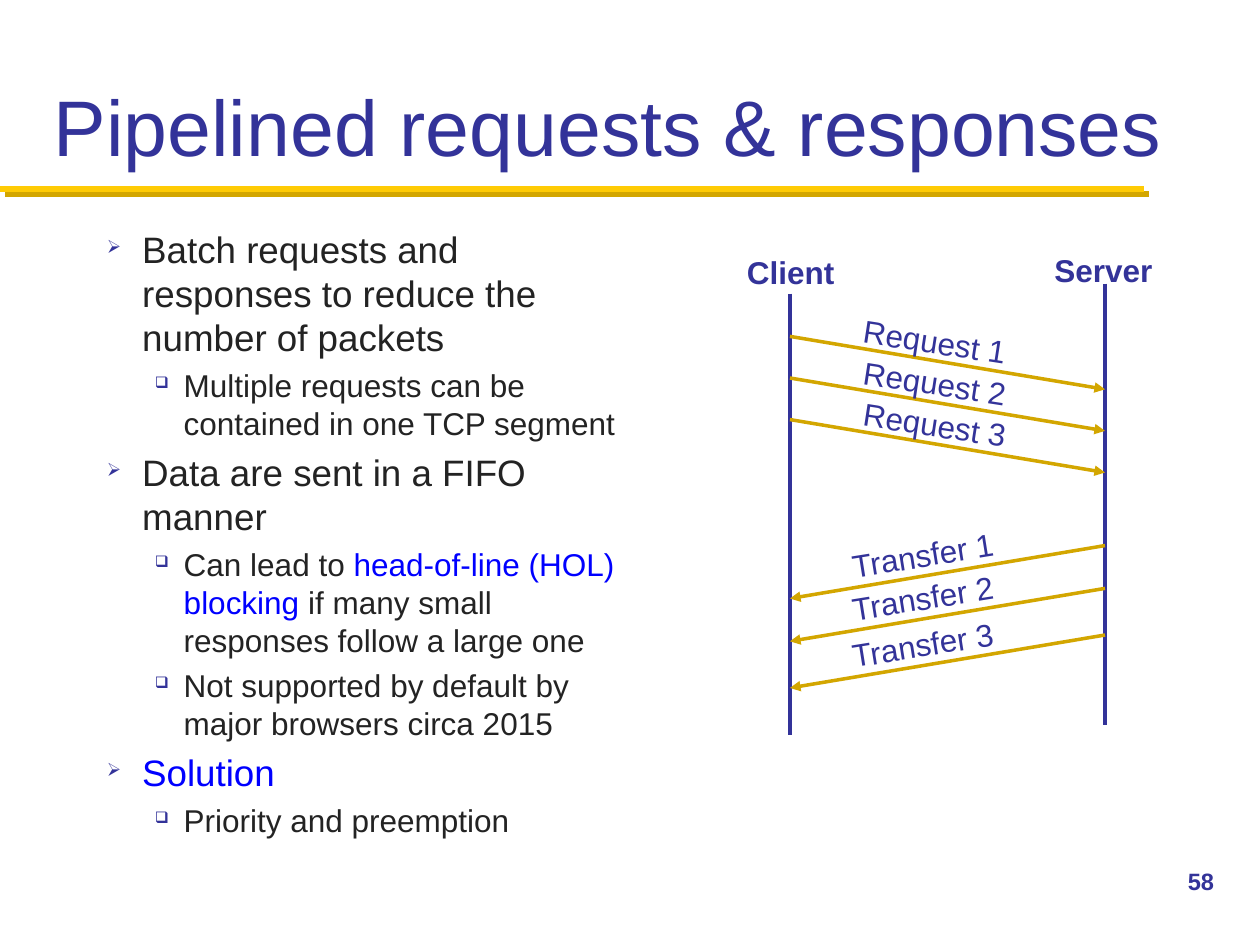
"""Build a slide on pipelined requests and responses with a client-server timeline."""
import pptx
import pptx.dml.color
import pptx.enum.shapes
import pptx.enum.text
import pptx.oxml.ns
import pptx.util
from lxml import etree

THEME = {
    "font": "Arial", "navy": "333399", "ink": "232323", "blue": "0000FF",
    "gold": "D3A600", "yellow": "FFCB05",
    "title": 45, "point": 21, "detail": 18, "label": 18, "number": 13.5,
}

TITLE = "Pipelined requests & responses"
PAGE_NUMBER = "58"
OUTLINE = [
    (0, [("Batch requests and responses to reduce the number of packets", "ink")]),
    (1, [("Multiple requests can be contained in one TCP segment", "ink")]),
    (0, [("Data are sent in a FIFO manner", "ink")]),
    (1, [("Can lead to ", "ink"), ("head-of-line (HOL) blocking", "blue"),
         (" if many small responses follow a large one", "ink")]),
    (1, [("Not supported by default by major browsers circa 2015", "ink")]),
    (0, [("Solution", "blue")]),
    (1, [("Priority and preemption", "ink")]),
]
LEVELS = [
    {"bullet": "➢", "size": THEME["point"], "margin": 0.28, "hang": 0.28},
    {"bullet": "❑", "size": THEME["detail"], "margin": 0.61, "hang": 0.23},
]
CLIENT_X, SERVER_X = 6.27, 8.77
LIFELINE_LENGTH, MESSAGE_DROP = 3.5, 0.42
ACTORS = [
    {"name": "Client", "x": CLIENT_X, "top": 2.33, "box": (5.83, 1.96, 0.92, 0.41)},
    {"name": "Server", "x": SERVER_X, "top": 2.25, "box": (8.27, 1.94, 1, 0.41)},
]
EXCHANGES = [
    {"name": "Request", "start": CLIENT_X, "end": SERVER_X, "times": [2.67, 3, 3.33],
     "label_x": 6.75, "lift": 0.16, "angle": 8.7},
    {"name": "Transfer", "start": SERVER_X, "end": CLIENT_X, "times": [4.33, 4.67, 5.04],
     "label_x": 6.66, "lift": 0.13, "angle": 350.9},
]


def color(name):
    return pptx.dml.color.RGBColor.from_string(THEME[name])


def add_xml(parent, tag, **attributes):
    return etree.SubElement(parent, pptx.oxml.ns.qn(tag), attributes)


def add_run(paragraph, text, size, ink="navy", bold=False):
    run = paragraph.add_run()
    run.text = text
    run.font.name = THEME["font"]
    run.font.size = pptx.util.Pt(size)
    run.font.bold = bold
    run.font.color.rgb = color(ink)


def add_box(slide, box, wrap=True, anchor="TOP", angle=0):
    holder = slide.shapes.add_textbox(*map(pptx.util.Inches, box))
    holder.rotation = angle
    holder.text_frame.word_wrap = wrap
    holder.text_frame.vertical_anchor = pptx.enum.text.MSO_ANCHOR[anchor]
    if not wrap:
        holder.text_frame.auto_size = pptx.enum.text.MSO_AUTO_SIZE.SHAPE_TO_FIT_TEXT
    return holder.text_frame


def add_text(slide, text, box, size, bold=False, **layout):
    add_run(add_box(slide, box, **layout).paragraphs[0], text, size, bold=bold)


def add_line(slide, start, end, ink, width, arrow=False, shadow=None):
    connector = slide.shapes.add_connector(
        pptx.enum.shapes.MSO_CONNECTOR.STRAIGHT, *map(pptx.util.Inches, start + end))
    connector.line.color.rgb = color(ink)
    connector.line.width = pptx.util.Pt(width)
    properties = connector._element.spPr
    if arrow:
        add_xml(properties.find(pptx.oxml.ns.qn("a:ln")), "a:tailEnd", type="triangle")
    effects = add_xml(properties, "a:effectLst")
    if shadow:
        cast = add_xml(effects, "a:outerShdw", dist=str(pptx.util.Pt(4.2)),
                       dir="2700000", algn="ctr", rotWithShape="0")
        add_xml(cast, "a:srgbClr", val=THEME[shadow])


def add_outline(slide, box):
    frame = add_box(slide, box)
    for index, (depth, pieces) in enumerate(OUTLINE):
        level = LEVELS[depth]
        paragraph = frame.paragraphs[0] if index == 0 else frame.add_paragraph()
        paragraph.level = depth
        properties = paragraph._p.get_or_add_pPr()
        properties.set("marL", str(pptx.util.Inches(level["margin"])))
        properties.set("indent", str(-pptx.util.Inches(level["hang"])))
        add_xml(add_xml(properties, "a:buClr"), "a:srgbClr", val=THEME["navy"])
        add_xml(properties, "a:buSzPct", val="50000")
        add_xml(properties, "a:buChar", char=level["bullet"])
        if index:
            paragraph.space_before = pptx.util.Pt(round(0.23 * level["size"], 1))
        for text, ink in pieces:
            add_run(paragraph, text, level["size"], ink=ink)


def add_timeline(slide):
    for actor in ACTORS:
        x, top = actor["x"], actor["top"]
        add_line(slide, (x, top), (x, top + LIFELINE_LENGTH), "navy", 2)
        add_text(slide, actor["name"], actor["box"], THEME["label"], bold=True, wrap=False)
    for exchange in EXCHANGES:
        for number, time in enumerate(exchange["times"], 1):
            add_line(slide, (exchange["start"], time),
                     (exchange["end"], time + MESSAGE_DROP), "gold", 2, arrow=True)
            add_text(slide, f"{exchange['name']} {number}",
                     (exchange["label_x"], time - exchange["lift"], 1.37, 0.41),
                     THEME["label"], wrap=False, angle=exchange["angle"])


def main():
    deck = pptx.Presentation()
    deck.slide_width, deck.slide_height = pptx.util.Inches(10), pptx.util.Inches(7.5)
    slide = deck.slides.add_slide(deck.slide_layouts[6])
    add_line(slide, (0, 1.5), (9.08, 1.5), "yellow", 3.5, shadow="gold")
    add_text(slide, TITLE, (0.33, 0.17, 9.33, 1.25), THEME["title"], anchor="BOTTOM")
    add_outline(slide, (0.75, 1.75, 4.25, 4.83))
    add_text(slide, PAGE_NUMBER, (9.33, 6.83, 0.67, 0.5), THEME["number"], bold=True)
    add_timeline(slide)
    deck.save("out.pptx")


if __name__ == "__main__":
    main()
